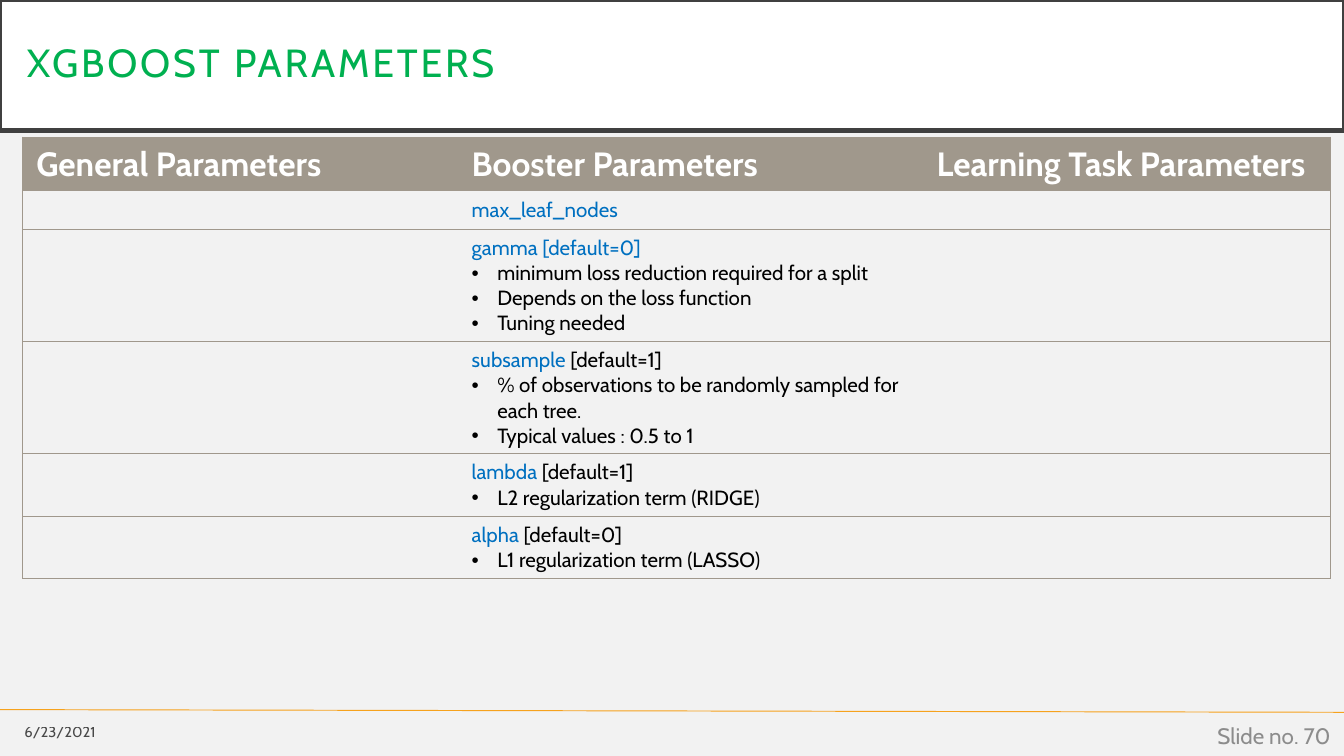
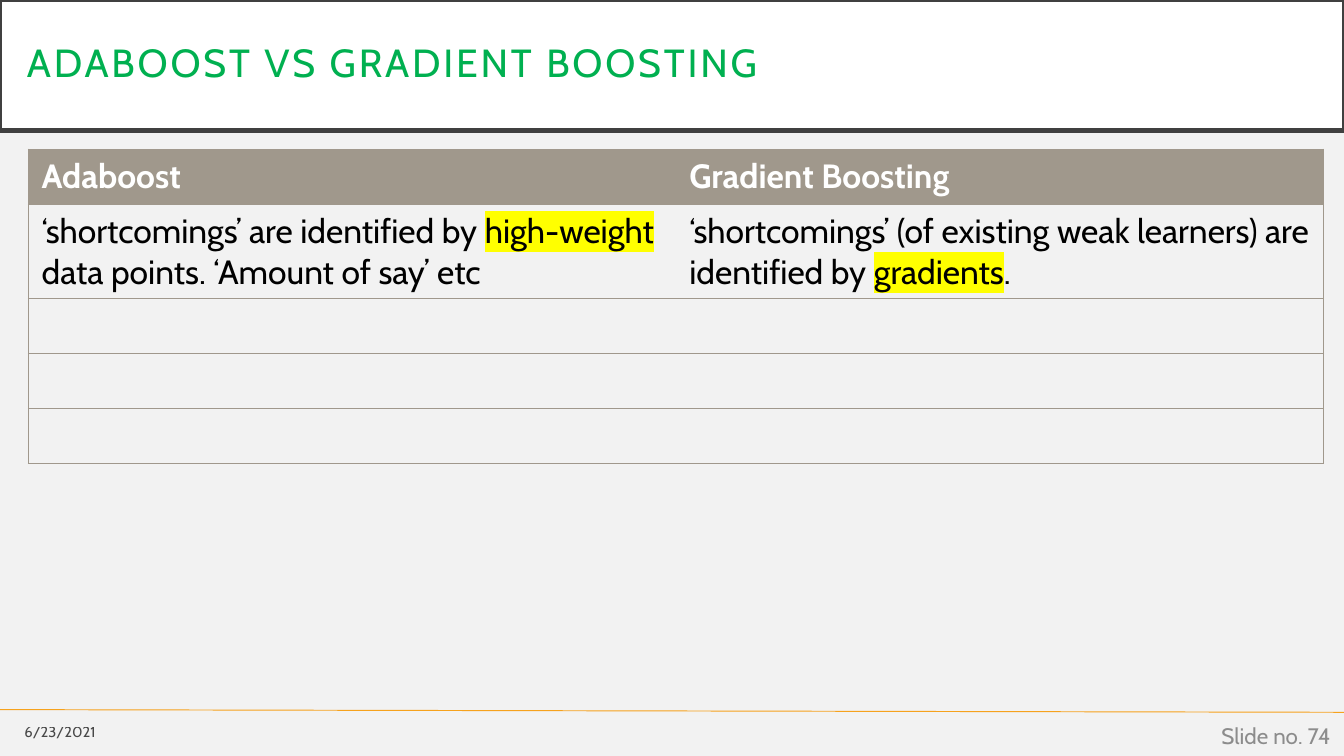
from dataclasses import dataclass
from typing import Optional

import lxml.etree
import pptx
import pptx.dml.color
import pptx.enum.shapes
import pptx.enum.text
import pptx.oxml.ns
import pptx.presentation
import pptx.shapes.base
import pptx.slide
import pptx.table
import pptx.text.text
import pptx.util

Inches = pptx.util.Inches
Pt = pptx.util.Pt
qn = pptx.oxml.ns.qn


@dataclass(frozen=True)
class Theme:
    font: str = "Cabin"
    page: str = "F2F2F2"
    white: str = "FFFFFF"
    black: str = "000000"
    frame: str = "404040"
    title: str = "00B050"
    rule: str = "F6A21D"
    number: str = "8C8C8C"
    table: str = "A0988C"
    keyword: str = "0070C0"
    marker: str = "FFFF00"
    title_size: float = 21
    date_size: float = 7.9
    number_size: float = 12
    header_size: float = 18
    detail_size: float = 11
    thin: float = 0.5
    thick: float = 2.5


THEME = Theme()
NO_STYLE = "{2D5ABB26-0587-4C30-8999-92F81FD0307C}"
BULLET_INDENT = Inches(0.19)


@dataclass(frozen=True)
class Span:
    text: str
    color: str = THEME.black
    marker: Optional[str] = None


@dataclass(frozen=True)
class Para:
    spans: tuple[Span, ...]
    bullet: bool = False


Cell = tuple[Para, ...]


@dataclass(frozen=True)
class Box:
    left: float
    top: float
    width: float
    height: float

    def lengths(self) -> tuple[pptx.util.Length, ...]:
        return tuple(Inches(v) for v in (self.left, self.top, self.width, self.height))


@dataclass(frozen=True)
class Grid:
    box: Box
    columns: tuple[float, ...]
    header_height: float
    row_height: float
    headers: tuple[str, ...]
    rows: tuple[tuple[Cell, ...], ...]
    body_size: float


@dataclass(frozen=True)
class Page:
    title: str
    number: int
    grid: Grid


@dataclass(frozen=True)
class Footer:
    text: str
    box: Box
    size: float
    color: str
    opacity: int = 100


def plain(*spans: Span) -> Para:
    return Para(spans)


def parameter(name: str, default: str, *details: str) -> tuple[Cell, ...]:
    heading = plain(Span(name, THEME.keyword), Span(default))
    points = tuple(Para((Span(detail),), True) for detail in details)
    return (), (heading, *points), ()


PAGES = (
    Page("XGBOOST PARAMETERS", 70, Grid(
        Box(0.17, 1.02, 9.73, 3.21), (3.24, 3.46, 3.03), 0.31, 0.27,
        ("General Parameters", "Booster Parameters", "Learning Task Parameters"),
        (
            parameter("max_leaf_nodes", ""),
            parameter("gamma [default=0]", "",
                      "minimum loss reduction required for a split",
                      "Depends on the loss function", "Tuning needed"),
            parameter("subsample", " [default=1]",
                      "% of observations to be randomly sampled for each tree.",
                      "Typical values : 0.5 to 1"),
            parameter("lambda", " [default=1]", "L2 regularization term (RIDGE)"),
            parameter("alpha", " [default=0]", "L1 regularization term (LASSO)"),
        ),
        THEME.detail_size)),
    Page("ADABOOST VS GRADIENT BOOSTING", 74, Grid(
        Box(0.21, 1.11, 9.64, 2.17), (4.82, 4.82), 0.41, 0.41,
        ("Adaboost", "Gradient Boosting"),
        (
            ((plain(Span("‘shortcomings’ are identified by "),
                    Span("high-weight", marker=THEME.marker),
                    Span(" data points. ‘Amount of say’ etc")),),
             (plain(Span("‘shortcomings’ (of existing weak learners) are identified by "),
                    Span("gradients", marker=THEME.marker),
                    Span(".")),)),
            *(((), ()),) * 3,
        ),
        THEME.header_size)),
)


def rgb(color: str) -> pptx.dml.color.RGBColor:
    return pptx.dml.color.RGBColor.from_string(color)


def add_span(para: pptx.text.text._Paragraph, span: Span, size: float,
             bold: bool = False) -> pptx.text.text._Run:
    run = para.add_run()
    run.text = span.text
    run.font.name = THEME.font
    run.font.size = Pt(size)
    run.font.bold = bold
    run.font.color.rgb = rgb(span.color)
    if span.marker:
        highlight = lxml.etree.Element(qn("a:highlight"))
        lxml.etree.SubElement(highlight, qn("a:srgbClr"), val=span.marker)
        run._r.rPr.find(qn("a:latin")).addprevious(highlight)
    return run


def add_bullet(para: pptx.text.text._Paragraph) -> None:
    settings = para._p.get_or_add_pPr()
    settings.set("marL", str(BULLET_INDENT))
    settings.set("indent", str(-BULLET_INDENT))
    lxml.etree.SubElement(settings, qn("a:buFont"), typeface="Arial")
    lxml.etree.SubElement(settings, qn("a:buChar"), char="•")


def fill_cell(cell: pptx.table._Cell, content: Cell, size: float, bold: bool = False) -> None:
    frame = cell.text_frame
    for index, item in enumerate(content):
        para = frame.add_paragraph() if index else frame.paragraphs[0]
        if item.bullet:
            add_bullet(para)
        for span in item.spans:
            if span.text:
                add_span(para, span, size, bold)
    if not content:
        ending = lxml.etree.SubElement(
            frame.paragraphs[0]._p, qn("a:endParaRPr"), sz=str(int(size * 100)))
        lxml.etree.SubElement(ending, qn("a:latin"), typeface=THEME.font)


def set_borders(cell: pptx.table._Cell, left: bool, right: bool) -> None:
    settings = cell._tc.get_or_add_tcPr()
    sides = {"a:lnL": left, "a:lnR": right, "a:lnT": True, "a:lnB": True}
    for index, (side, visible) in enumerate(sides.items()):
        border = lxml.etree.Element(qn(side), w=str(Pt(THEME.thin)))
        if visible:
            fill = lxml.etree.SubElement(border, qn("a:solidFill"))
            lxml.etree.SubElement(fill, qn("a:srgbClr"), val=THEME.table)
        else:
            lxml.etree.SubElement(border, qn("a:noFill"))
        settings.insert(index, border)


def add_grid(page: pptx.slide.Slide, grid: Grid) -> None:
    headers = tuple((plain(Span(text, THEME.white)),) for text in grid.headers)
    rows = (headers, *grid.rows)
    holder = page.shapes.add_table(len(rows), len(grid.columns), *grid.box.lengths())
    table = holder.table
    table.horz_banding = False
    table._tbl.tblPr.find(qn("a:tableStyleId")).text = NO_STYLE
    for column, width in zip(table.columns, grid.columns):
        column.width = Inches(width)
    last = len(grid.columns) - 1
    for y, row in enumerate(rows):
        is_header = y == 0
        table.rows[y].height = Inches(grid.header_height if is_header else grid.row_height)
        for x, content in enumerate(row):
            cell = table.cell(y, x)
            size = THEME.header_size if is_header else grid.body_size
            fill_cell(cell, content, size, bold=is_header)
            if is_header:
                cell.fill.solid()
                cell.fill.fore_color.rgb = rgb(THEME.table)
            else:
                cell.fill.background()
            set_borders(cell, x == 0, x == last)
    holder.height = Inches(grid.box.height)


def format_title(title: pptx.shapes.base.BaseShape, text: str) -> None:
    title.left, title.top, title.width, title.height = Box(0, 0, 10, 0.97).lengths()
    title.fill.solid()
    title.fill.fore_color.rgb = rgb(THEME.white)
    title.line.color.rgb = rgb(THEME.frame)
    title.line.width = Pt(THEME.thick)
    frame = title.text_frame
    frame.word_wrap = True
    frame.auto_size = pptx.enum.text.MSO_AUTO_SIZE.NONE
    frame.vertical_anchor = pptx.enum.text.MSO_ANCHOR.MIDDLE
    frame.margin_left = frame.margin_right = Inches(0.2)
    frame.margin_top = frame.margin_bottom = Inches(0.2)
    para = frame.paragraphs[0]
    para.alignment = pptx.enum.text.PP_ALIGN.LEFT
    para.line_spacing = 0.9
    run = add_span(para, Span(text, THEME.title), THEME.title_size)
    run._r.rPr.set("spc", "150")


def add_rule(page: pptx.slide.Slide) -> None:
    rule = page.shapes.add_connector(
        pptx.enum.shapes.MSO_CONNECTOR.STRAIGHT,
        Inches(0), Inches(5.28), Inches(10), Inches(5.3))
    rule.line.color.rgb = rgb(THEME.rule)
    rule.line.width = Pt(THEME.thin)
    lxml.etree.SubElement(rule._element.spPr, qn("a:effectLst"))


def add_footer(page: pptx.slide.Slide, footer: Footer) -> None:
    frame = page.shapes.add_textbox(*footer.box.lengths()).text_frame
    frame.word_wrap = True
    frame.vertical_anchor = pptx.enum.text.MSO_ANCHOR.MIDDLE
    para = frame.paragraphs[0]
    para.alignment = pptx.enum.text.PP_ALIGN.RIGHT
    run = add_span(para, Span(footer.text, footer.color), footer.size)
    if footer.opacity < 100:
        color = run._r.rPr.find(qn("a:solidFill"))[0]
        lxml.etree.SubElement(color, qn("a:alpha"), val=str(footer.opacity * 1000))


def add_page(deck: pptx.presentation.Presentation, content: Page) -> None:
    page = deck.slides.add_slide(deck.slide_layouts[5])
    page.background.fill.solid()
    page.background.fill.fore_color.rgb = rgb(THEME.page)
    format_title(page.shapes.title, content.title)
    add_rule(page)
    footers = (
        Footer("6/23/2021", Box(0, 5.31, 0.81, 0.27), THEME.date_size, THEME.black, 70),
        Footer(f"Slide no. {content.number}", Box(7.75, 5.32, 2.25, 0.3),
               THEME.number_size, THEME.number),
    )
    for footer in footers:
        add_footer(page, footer)
    add_grid(page, content.grid)


def main() -> None:
    deck = pptx.Presentation()
    deck.slide_width = Inches(10)
    deck.slide_height = Inches(10) * 9 // 16
    for content in PAGES:
        add_page(deck, content)
    deck.save("out.pptx")


if __name__ == "__main__":
    main()
